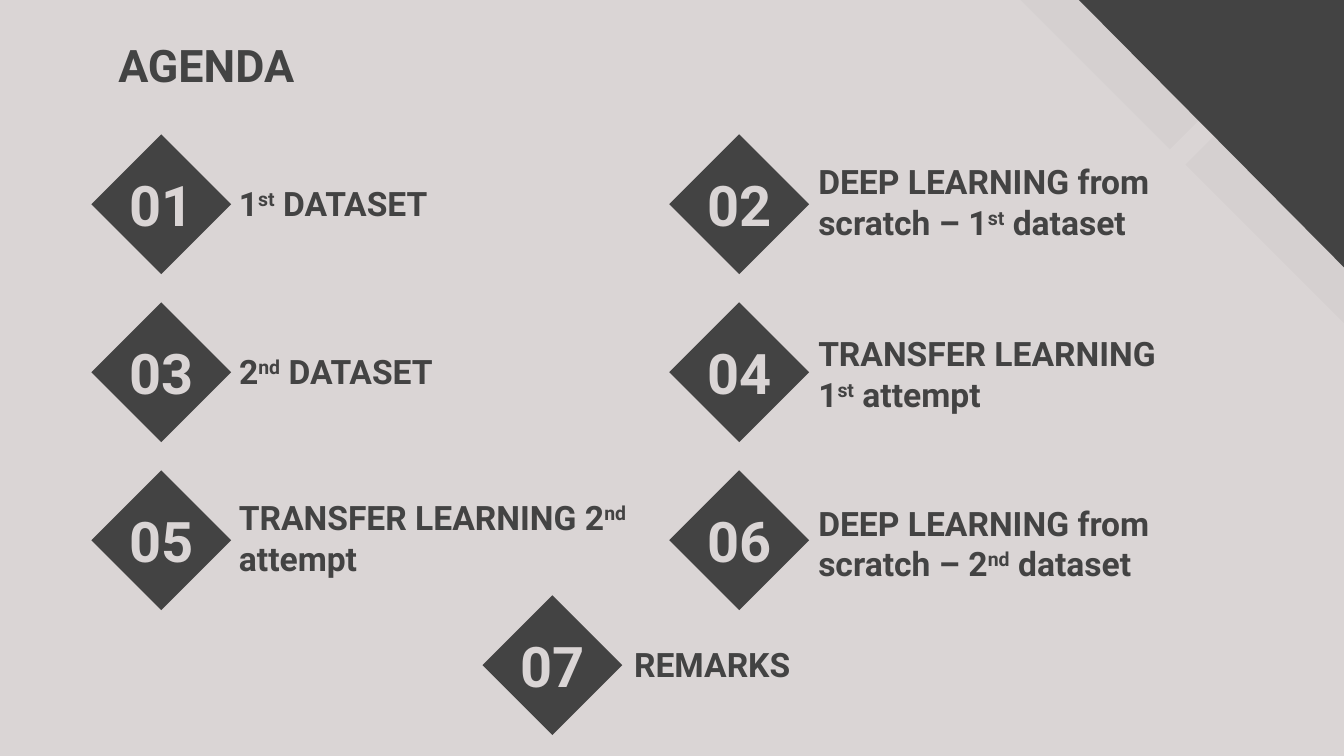
"""Build the agenda slide with numbered diamonds."""
import dataclasses

import lxml.etree
import pptx
import pptx.dml.color
import pptx.enum.shapes
import pptx.enum.text
import pptx.oxml.ns
import pptx.util

Inches = pptx.util.Inches
ANCHOR = pptx.enum.text.MSO_ANCHOR
ALIGN = pptx.enum.text.PP_ALIGN


@dataclasses.dataclass(frozen=True)
class Theme:
    """Hold the colours, font and type sizes of the slide."""
    dark: str = "434343"
    light: str = "DAD5D5"
    band: str = "999999"
    band_alpha: int = 7
    font: str = "Roboto"
    title_size: int = 24
    number_size: int = 30
    label_size: int = 18


@dataclasses.dataclass(frozen=True)
class AgendaItem:
    """Hold one entry: diamond corner, label box and label lines."""
    left: float
    top: float
    label_top: float
    label_height: float
    lines: tuple
    label_width: float = 3.23
    label_offset: float = 1.0


THEME = Theme()
DIAMOND_SIZE = 1.04
NUMBER_WIDTH, NUMBER_HEIGHT = 0.83, 0.49
LEFT_COLUMN, RIGHT_COLUMN = 0.68, 4.98
ROWS = [1 + 1.25 * row for row in range(3)]
ITEMS = [
    AgendaItem(LEFT_COLUMN, ROWS[0], 1.27, 0.49, ("1^st^ DATASET",)),
    AgendaItem(RIGHT_COLUMN, ROWS[0], 1.16, 0.74,
               ("DEEP LEARNING from scratch – 1^st^ dataset",), label_offset=1.01),
    AgendaItem(LEFT_COLUMN, ROWS[1], 2.52, 0.49, ("2^nd^ DATASET",), label_width=1.85),
    AgendaItem(RIGHT_COLUMN, ROWS[1], 2.41, 0.77,
               ("TRANSFER LEARNING", "1^st^ attempt"), label_offset=1.01),
    AgendaItem(LEFT_COLUMN, ROWS[2], 3.63, 0.77, ("TRANSFER LEARNING 2^nd^ attempt",)),
    AgendaItem(RIGHT_COLUMN, ROWS[2], 3.7, 0.74,
               ("DEEP LEARNING from scratch – 2^nd^ dataset",), label_offset=1.01),
    AgendaItem(3.59, 4.43, 4.67, 0.52, ("REMARKS",), label_width=1.51, label_offset=1.03),
]


def rgb(value):
    """Return a colour object for a hexadecimal value."""
    return pptx.dml.color.RGBColor.from_string(value)


def paint(shape, color, alpha=None):
    """Fill a shape without outline or shadow, with opacity in percent."""
    shape.shadow.inherit = False
    shape.line.fill.background()
    shape.fill.solid()
    shape.fill.fore_color.rgb = rgb(color)
    if alpha is not None:
        color_element = shape.fill._xPr.find(".//" + pptx.oxml.ns.qn("a:srgbClr"))
        lxml.etree.SubElement(
            color_element, pptx.oxml.ns.qn("a:alpha"), val=str(alpha * 1000))


def add_diamond(slide, left, top, size, color, alpha=None):
    """Add a square diamond."""
    shape = slide.shapes.add_shape(
        pptx.enum.shapes.MSO_SHAPE.DIAMOND,
        Inches(left), Inches(top), Inches(size), Inches(size))
    paint(shape, color, alpha)


def add_corner(slide):
    """Add the dark corner and its two pale bands."""
    for left, top in ((8.82, -0.32), (7.16, -1.98)):
        add_diamond(slide, left, top, 3.09, THEME.band, THEME.band_alpha)
    outline = [(7.75, -0.28), (10.07, 2.06), (10.07, -0.15), (7.9, -0.15), (7.9, -0.29)]
    points = [(Inches(x), Inches(y)) for x, y in outline]
    builder = slide.shapes.build_freeform(*points[0])
    builder.add_line_segments(points[1:], close=True)
    paint(builder.convert_to_shape(), THEME.dark)


def write_text(shape, lines, size, color, anchor, alignment=ALIGN.LEFT):
    """Write lines into a shape, raising the parts between carets."""
    frame = shape.text_frame
    frame.word_wrap = True
    frame.auto_size = pptx.enum.text.MSO_AUTO_SIZE.NONE
    frame.vertical_anchor = anchor
    frame.margin_left = frame.margin_right = Inches(0.1)
    frame.margin_top = frame.margin_bottom = Inches(0.1)
    for index, line in enumerate(lines):
        paragraph = frame.add_paragraph() if index else frame.paragraphs[0]
        paragraph.alignment = alignment
        for position, part in enumerate(line.split("^")):
            run = paragraph.add_run()
            run.text = part
            run.font.name = THEME.font
            run.font.size = pptx.util.Pt(size)
            run.font.bold = True
            run.font.color.rgb = rgb(color)
            if position % 2:
                run._r.get_or_add_rPr().set("baseline", "30000")


def add_title(slide, text):
    """Place and fill the title placeholder."""
    title = slide.shapes.title
    title.left, title.top = Inches(0.78), Inches(0.15)
    title.width, title.height = Inches(8.44), Inches(0.63)
    write_text(title, [text], THEME.title_size, THEME.dark, ANCHOR.BOTTOM)


def add_item(slide, number, item):
    """Add a diamond with its centred number and its label."""
    add_diamond(slide, item.left, item.top, DIAMOND_SIZE, THEME.dark)
    number_box = slide.shapes.add_textbox(
        Inches(item.left + (DIAMOND_SIZE - NUMBER_WIDTH) / 2),
        Inches(item.top + (DIAMOND_SIZE - NUMBER_HEIGHT) / 2),
        Inches(NUMBER_WIDTH), Inches(NUMBER_HEIGHT))
    write_text(number_box, [f"{number:02}"], THEME.number_size, THEME.light,
               ANCHOR.MIDDLE, ALIGN.CENTER)
    label_box = slide.shapes.add_textbox(
        Inches(item.left + item.label_offset), Inches(item.label_top),
        Inches(item.label_width), Inches(item.label_height))
    write_text(label_box, item.lines, THEME.label_size, THEME.dark, ANCHOR.BOTTOM)


def main():
    """Build and save the presentation."""
    presentation = pptx.Presentation()
    presentation.slide_width = Inches(10)
    presentation.slide_height = Inches(10 * 9 / 16)
    slide = presentation.slides.add_slide(presentation.slide_layouts[5])
    slide.background.fill.solid()
    slide.background.fill.fore_color.rgb = rgb(THEME.light)
    add_corner(slide)
    add_title(slide, "AGENDA")
    for number, item in enumerate(ITEMS, start=1):
        add_item(slide, number, item)
    presentation.save("out.pptx")


if __name__ == "__main__":
    main()
